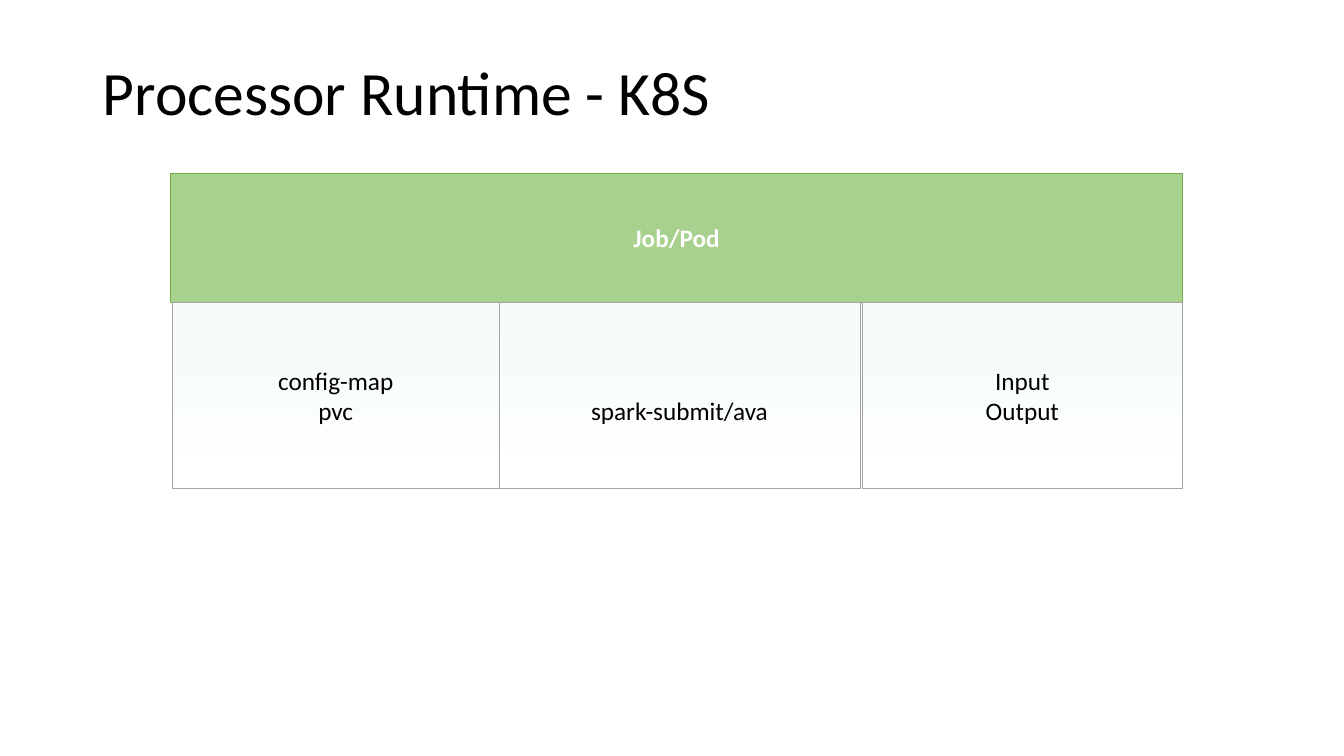
"""Build the Processor Runtime - K8S slide."""
from pptx import Presentation
from pptx.dml.color import RGBColor
from pptx.enum.shapes import MSO_SHAPE
from pptx.enum.text import MSO_ANCHOR, PP_ALIGN
from pptx.util import Inches, Pt

RECTANGLE = MSO_SHAPE.RECTANGLE
MIDDLE = MSO_ANCHOR.MIDDLE
LEFT, CENTER = PP_ALIGN.LEFT, PP_ALIGN.CENTER

TITLE = "Processor Runtime - K8S"
HEADER = "Job/Pod"
COLUMNS = [
    {"text": "config-map\npvc", "left": 1.71, "width": 3.24, "inset": 0.05},
    {"text": "spark-submit/ava", "left": 4.95, "width": 3.58, "inset": 0.35},
    {"text": "Input\nOutput", "left": 8.55, "width": 3.18, "inset": 0.05},
]
HEADER_LEFT, HEADER_TOP, HEADER_WIDTH, HEADER_HEIGHT = 1.69, 1.72, 10.04, 1.28
COLUMN_TOP, COLUMN_HEIGHT = HEADER_TOP + HEADER_HEIGHT, 1.85


def color(hex_value):
    return RGBColor.from_string(hex_value)


def write(frame, text, size, hex_value, align, bold=False):
    frame.text = text
    frame.word_wrap = True
    frame.vertical_anchor = MIDDLE
    for paragraph in frame.paragraphs:
        paragraph.alignment = align
        for run in paragraph.runs:
            run.font.name = "Calibri"
            run.font.size = Pt(size)
            run.font.bold = bold
            run.font.color.rgb = color(hex_value)


def add_block(slide, box, text, line, text_color, bold=False):
    block = slide.shapes.add_shape(RECTANGLE, *map(Inches, box))
    block.shadow.inherit = False
    block.line.color.rgb = color(line)
    block.line.width = Pt(0.5)
    write(block.text_frame, text, 18, text_color, CENTER, bold)
    return block


def main():
    prs = Presentation()
    prs.slide_width, prs.slide_height = Inches(13.33), Inches(7.5)
    slide = prs.slides.add_slide(prs.slide_layouts[5])

    title = slide.shapes.title
    title.left, title.top = Inches(0.92), Inches(0.4)
    title.width, title.height = Inches(11.5), Inches(1.09)
    write(title.text_frame, TITLE, 44, "000000", LEFT)
    title.text_frame.paragraphs[0].line_spacing = 0.9

    header_box = (HEADER_LEFT, HEADER_TOP, HEADER_WIDTH, HEADER_HEIGHT)
    header = add_block(slide, header_box, HEADER, "70AD47", "FFFFFF", True)
    header.fill.solid()
    header.fill.fore_color.rgb = color("A9D18E")

    for column in COLUMNS:
        box = (column["left"], COLUMN_TOP, column["width"], COLUMN_HEIGHT)
        block = add_block(slide, box, column["text"], "A5A5A5", "000000")
        block.text_frame.margin_top = Inches(column["inset"])
        block.fill.gradient()
        block.fill.gradient_angle = 270
        for stop, shade, position in zip(block.fill.gradient_stops, ("F5FAFB", "FFFFFF"), (0, 1)):
            stop.color.rgb = color(shade)
            stop.position = position

    prs.save("out.pptx")


if __name__ == "__main__":
    main()
